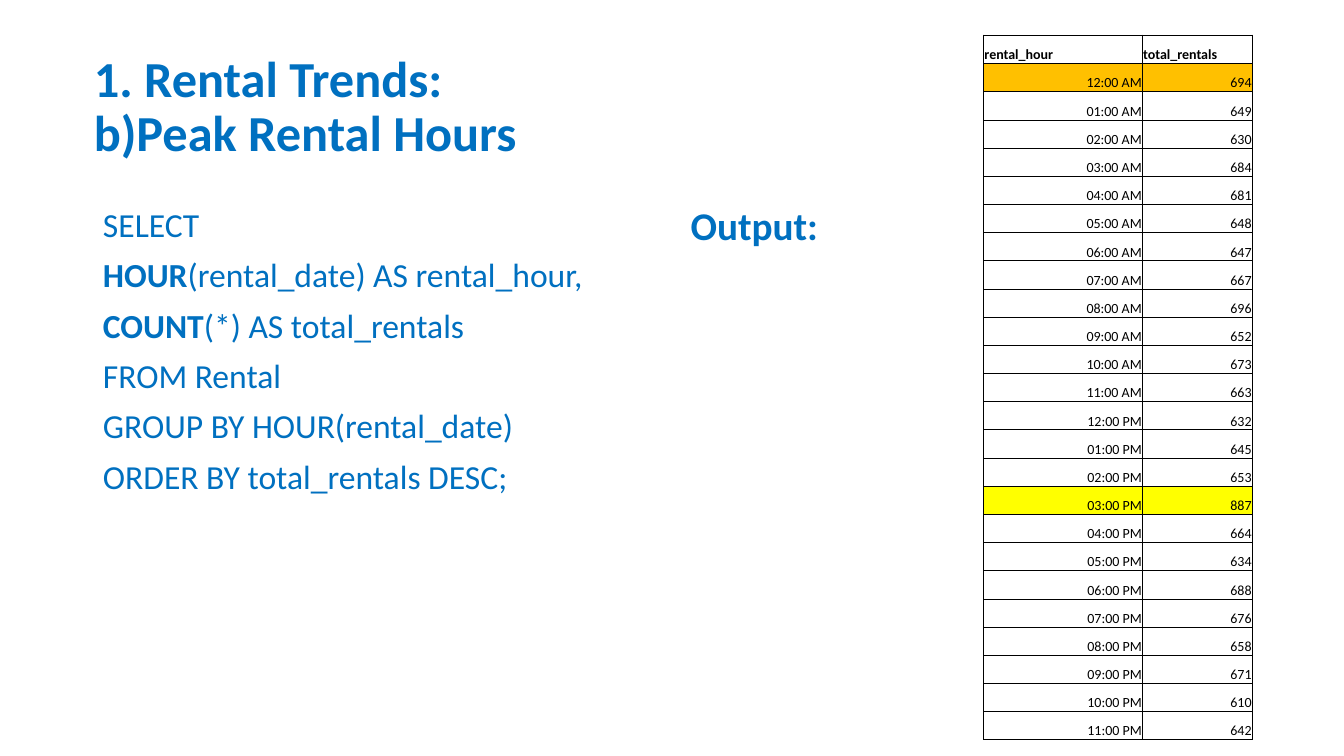
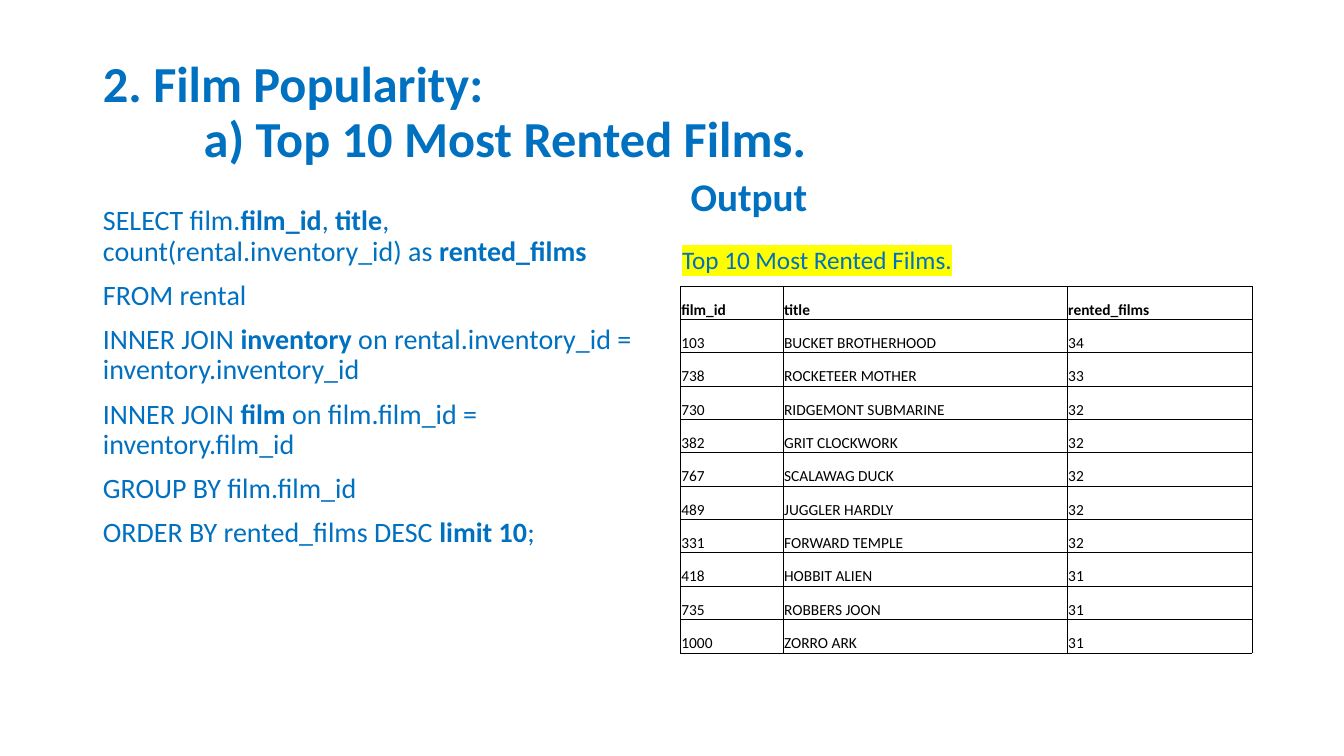
from dataclasses import dataclass

from lxml.etree import SubElement as Sub
from pptx import Presentation
from pptx.dml.color import RGBColor as Rgb
from pptx.enum.text import MSO_ANCHOR as Anchor, MSO_AUTO_SIZE as Fit, PP_ALIGN as Align
from pptx.oxml.ns import qn
from pptx.util import Cm, Pt


@dataclass(frozen=True)
class Theme:
    """Colours, font and type sizes of the deck."""
    blue: str = "0070C0"
    black: str = "000000"
    gold: str = "FFC000"
    yellow: str = "FFFF00"
    font: str = "Calibri"
    title: int = 36
    label: int = 28
    note: int = 18
    thin: float = 0.5
    thick: float = 1


T = Theme()
WIDE, HIGH = 33.87, 19.05
LEFT, RIGHT, HALF = 2.34, 17.15, 14.4

RENTALS = (694, 649, 630, 684, 681, 648, 647, 667, 696, 652, 673, 663,
           632, 645, 653, 887, 664, 634, 688, 676, 658, 671, 610, 642)
FILMS = (
    ("film_id", "title", "rented_films"),
    (103, "BUCKET BROTHERHOOD", 34),
    (738, "ROCKETEER MOTHER", 33),
    (730, "RIDGEMONT SUBMARINE", 32),
    (382, "GRIT CLOCKWORK", 32),
    (767, "SCALAWAG DUCK", 32),
    (489, "JUGGLER HARDLY", 32),
    (331, "FORWARD TEMPLE", 32),
    (418, "HOBBIT ALIEN", 31),
    (735, "ROBBERS JOON", 31),
    (1000, "ZORRO ARK", 31),
)
HOUR_SQL = """SELECT
**HOUR**(rental_date) AS rental_hour,
**COUNT**(*) AS total_rentals
FROM Rental
GROUP BY HOUR(rental_date)
ORDER BY total_rentals DESC;"""
FILM_SQL = """SELECT film.**film_id**, **title**, count(rental.inventory_id) as **rented_films**
FROM rental
INNER JOIN **inventory** on rental.inventory_id = inventory.inventory_id
INNER JOIN **film** on film.film_id = inventory.film_id
GROUP BY film.film_id
ORDER BY rented_films DESC **limit 10**;"""


def write(frame, text, size, color=T.blue, bold=False, mark=None,
          align=Align.LEFT, line=1.0, gap=0, sub=0):
    """Fill a frame line by line; ** toggles bold and sub indents later lines."""
    for i, row in enumerate(text.split("\n")):
        par = frame.add_paragraph() if i else frame.paragraphs[0]
        par.alignment, par.line_spacing, par.space_before = align, line, Pt(gap)
        props = par._p.get_or_add_pPr()
        props.set("marL", str(Cm(sub if i else 0)))
        props.set("indent", "0")
        Sub(props, qn("a:buNone"))
        for j, part in enumerate(row.split("**")):
            if not part:
                continue
            run = par.add_run()
            run.text = part
            font = run.font
            font.size, font.bold = Pt(size), bold or j % 2 == 1
            font.color.rgb = Rgb.from_string(color)
            if mark:
                glow = Sub(run._r.get_or_add_rPr(), qn("a:highlight"))
                Sub(glow, qn("a:srgbClr"), val=mark)
            font.name = T.font


def place(shape, box):
    """Move a shape to a box in centimetres and return its text frame."""
    shape.left, shape.top, shape.width, shape.height = map(Cm, box)
    frame = shape.text_frame
    frame.word_wrap, frame.auto_size = True, Fit.NONE
    return frame


def head(slide, text, box, sub=0):
    """Place the slide title."""
    frame = place(slide.shapes.title, box)
    frame.vertical_anchor = Anchor.MIDDLE
    write(frame, text, T.title, bold=True, line=0.9, sub=sub)


def body(slide, slot, text, box, size, bold=False):
    """Place a list in one of the body placeholders."""
    frame = place(slide.placeholders[slot], box)
    frame.vertical_anchor = Anchor.TOP
    write(frame, text, size, bold=bold, line=0.9, gap=10)


def note(slide, text, box):
    """Place a highlighted caption."""
    frame = place(slide.shapes.add_textbox(0, 0, 0, 0), box)
    frame.auto_size = Fit.SHAPE_TO_FIT_TEXT
    write(frame, text, T.note, mark=T.yellow)


def edge(cell, sides):
    """Draw the four borders of a cell from a map of side to width."""
    props = cell._tc.get_or_add_tcPr()
    for i, (side, width) in enumerate(sides.items()):
        rule = props.makeelement(qn(f"a:ln{side}"), {"w": str(Pt(width))})
        Sub(Sub(rule, qn("a:solidFill")), qn("a:srgbClr"), val=T.black)
        props.insert(i, rule)


def grid(slide, rows, box, cols, size, align=Align.LEFT, rim=T.thin, marks=None):
    """Build a ruled table; marks maps row numbers to fill colours."""
    left, top, high = box
    last, end = len(rows) - 1, len(cols) - 1
    table = slide.shapes.add_table(len(rows), len(cols), Cm(left), Cm(top),
                                   Cm(sum(cols)), Cm(high * len(rows))).table
    table.first_row = table.horz_banding = False
    for col, width in zip(table.columns, cols):
        col.width = Cm(width)
    for r, row in enumerate(rows):
        table.rows[r].height = Cm(high)
        mark = (marks or {}).get(r)
        for c, value in enumerate(row):
            cell = table.cell(r, c)
            cell.margin_left = cell.margin_right = cell.margin_top = Cm(0.02)
            cell.margin_bottom = 0
            cell.vertical_anchor = Anchor.BOTTOM
            if mark:
                cell.fill.solid()
                cell.fill.fore_color.rgb = Rgb.from_string(mark)
            else:
                cell.fill.background()
            outer = {"L": c == 0, "R": c == end, "T": r == 0, "B": r == last}
            edge(cell, {k: rim if out else T.thin for k, out in outer.items()})
            write(cell.text_frame, str(value), size, T.black, bold=r == 0,
                  mark=mark, align=align if r else Align.LEFT)


def clock(hour):
    """Name an hour of the day on the twelve-hour clock."""
    return f"{(hour + 11) % 12 + 1:02}:00 {'AM' if hour < 12 else 'PM'}"


def hours(slide):
    """Build the slide on peak rental hours."""
    head(slide, "1. Rental Trends:\nb)Peak Rental Hours", (2.11, 0.89, 29.21, 3.68))
    body(slide, 1, HOUR_SQL, (LEFT, 5.13, HALF, 12.09), 24)
    body(slide, 2, "Output:", (RIGHT, 5.08, HALF, 12.09), T.label, bold=True)
    rows = [("rental_hour", "total_rentals")]
    rows += [(clock(h), count) for h, count in enumerate(RENTALS)]
    peak = RENTALS.index(max(RENTALS)) + 1
    grid(slide, rows, (24.79, 0.89, 0.71), (4, 2.77), 10, Align.RIGHT,
         rim=T.thick, marks={1: T.gold, peak: T.yellow})


def films(slide):
    """Build the slide on the most rented films."""
    head(slide, "2. Film Popularity:\na) Top 10 Most Rented Films.",
         (LEFT, 1.02, 29.21, 3.68), sub=2.54)
    body(slide, 1, FILM_SQL, (LEFT, 5.08, HALF, 12.09), 20)
    body(slide, 2, "Output", (RIGHT, 4.34, HALF, 12.83), T.label, bold=True)
    grid(slide, FILMS, (RIGHT, 7.21, 0.84), (2.59, 7.16, 4.65), 11)
    note(slide, "Top 10 Most Rented Films.", (16.94, 6.02, 7.65, 1.02))


def main():
    """Build and save the deck."""
    deck = Presentation()
    deck.slide_width, deck.slide_height = Cm(WIDE), Cm(HIGH)
    for build in (hours, films):
        build(deck.slides.add_slide(deck.slide_layouts.get_by_name("Two Content")))
    deck.save("out.pptx")


if __name__ == "__main__":
    main()
